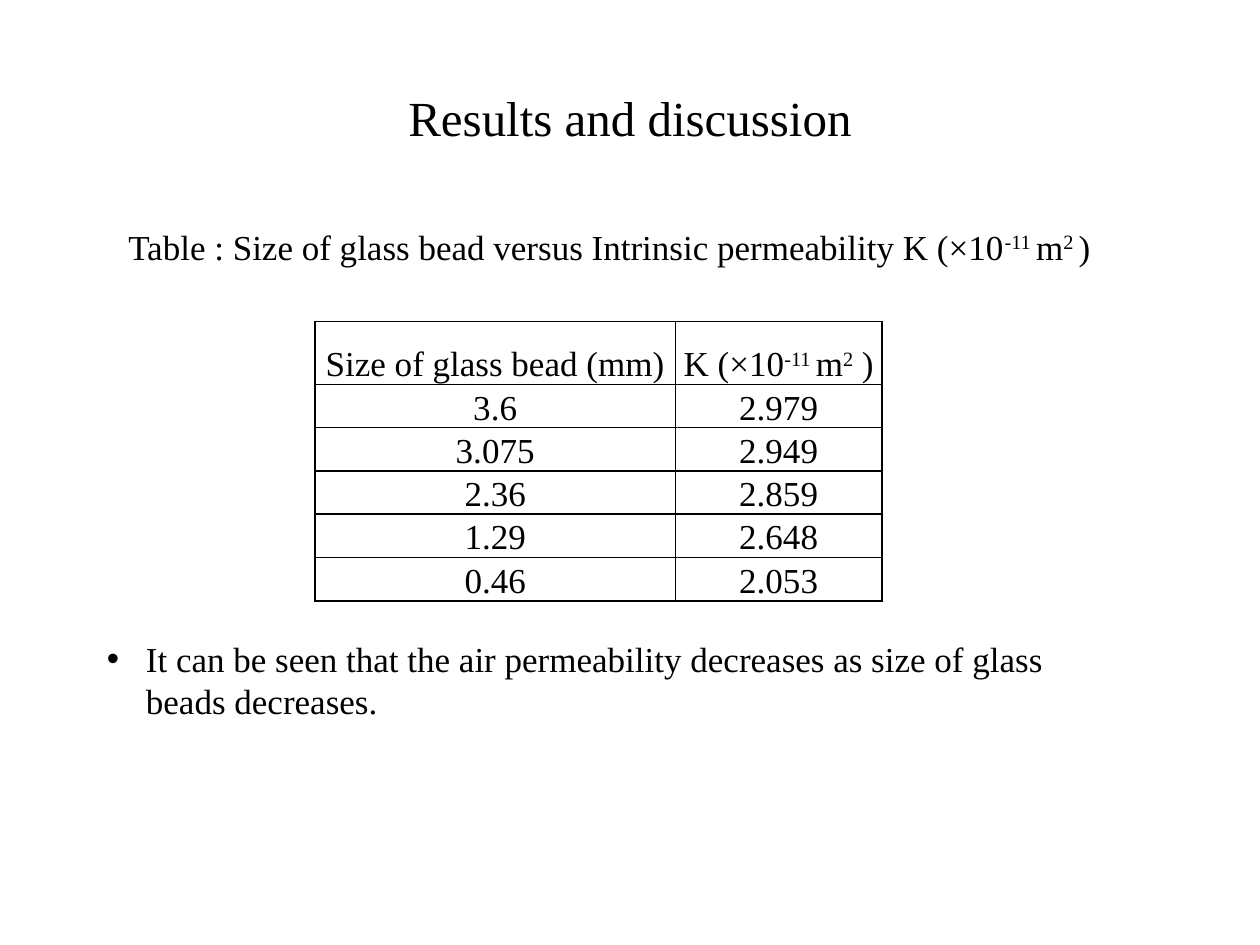
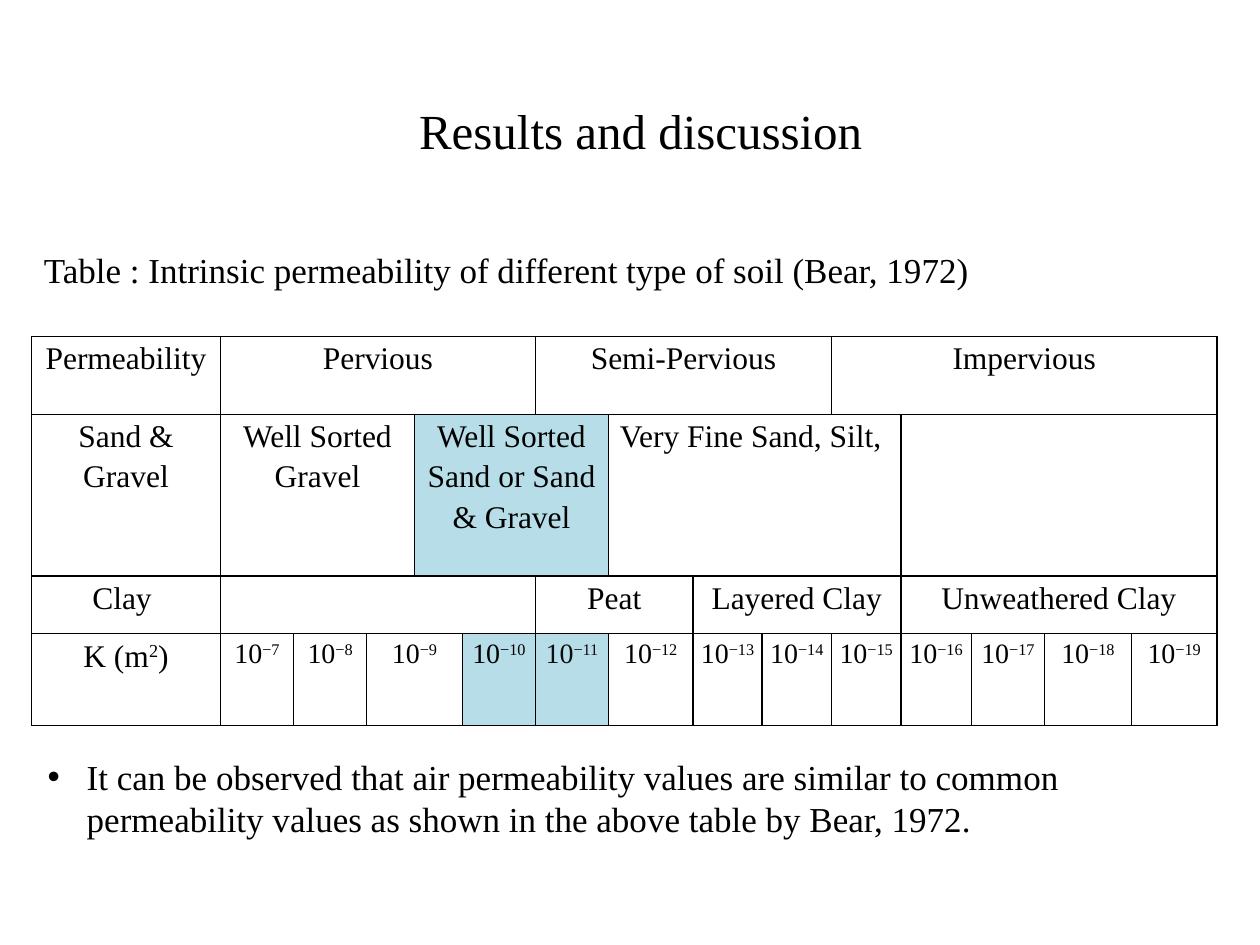
"""Build two slides on glass bead and soil permeability results."""
from lxml import etree
from pptx import Presentation, util as u
from pptx.dml.color import RGBColor
from pptx.enum import text as t
from pptx.oxml import ns

PX = 9144
FONT = "Times New Roman"
INK = RGBColor(0, 0, 0)
DARK = RGBColor(0x0D, 0x0D, 0x0D)
AQUA = RGBColor(0xB7, 0xDE, 0xE8)
MID, LEFT = t.PP_ALIGN.CENTER, t.PP_ALIGN.LEFT
TITLE = "Results and discussion"


def write(frame, words, size, align):
    para = frame.paragraphs[0]
    para.alignment = align
    para.font.name, para.font.size = FONT, u.Pt(size)
    para.font.color.rgb = INK
    for i, part in enumerate(words.split("^")):
        if part:
            run = para.add_run()
            run.text = part
            if i % 2:
                run._r.get_or_add_rPr().set("baseline", "30000")
    return para


def grid(slide, left, top, cols, highs, rows, size, pads, anchor):
    box = [n * PX for n in (left, top, sum(cols), sum(highs))]
    table = slide.shapes.add_table(len(highs), len(cols), *box).table
    table.first_row = table.horz_banding = False
    for col, wide in zip(table.columns, cols):
        col.width = wide * PX
    for row, high in zip(table.rows, highs):
        row.height = high * PX
    for cell in table.iter_cells():
        (cell.margin_left, cell.margin_top,
         cell.margin_right, cell.margin_bottom) = [n * PX for n in pads]
        cell.vertical_anchor = anchor
        for side in ("lnL", "lnR", "lnT", "lnB"):
            line = etree.SubElement(cell._tc.get_or_add_tcPr(), ns.qn("a:" + side), w="12700")
            fill = etree.SubElement(line, ns.qn("a:solidFill"))
            etree.SubElement(fill, ns.qn("a:srgbClr"), val=str(INK))
        cell.fill.background()
    for r, row in enumerate(rows):
        c = 0
        for words, span in row:
            cell = table.cell(r, c)
            if span > 1:
                cell.merge(table.cell(r, c + span - 1))
            write(cell.text_frame, words, size, MID)
            c += span
    return table


deck = Presentation()
deck.slide_width, deck.slide_height = 1000 * PX, 750 * PX
bead, soil = [deck.slides.add_slide(deck.slide_layouts[6]) for _ in range(2)]

texts = [
    (bead, (50, 30, 900, 125), TITLE, 28, MID, False),
    (bead, (92, 174, 794, 77),
     "Table : Size of glass bead versus Intrinsic permeability K (×10^-11 ^m^2 ^)",
     20, LEFT, False),
    (bead, (75, 501, 780, 77),
     "It can be seen that the air permeability decreases as size of glass beads decreases.",
     20, LEFT, True),
    (soil, (167, 75, 683, 57), TITLE, 28, MID, False),
    (soil, (25, 192, 942, 75),
     "Table : Intrinsic permeability of different type of soil (Bear, 1972)",
     20, LEFT, False),
    (soil, (28, 595, 929, 77),
     "It can be observed that air permeability values are similar to common "
     "permeability values as shown in the above table by Bear, 1972.",
     20, LEFT, True),
]
for slide, place, words, size, align, dot in texts:
    frame = slide.shapes.add_textbox(*[n * PX for n in place]).text_frame
    frame.word_wrap = True
    frame.vertical_anchor = t.MSO_ANCHOR.MIDDLE if align == MID else t.MSO_ANCHOR.TOP
    para = write(frame, words, size, align)
    if dot:
        props = para._p.get_or_add_pPr()
        props.set("marL", str(31 * PX))
        props.set("indent", str(-31 * PX))
        props.insert(0, etree.Element(ns.qn("a:buFont"), typeface="Arial"))
        props.insert(1, etree.Element(ns.qn("a:buChar"), char="•"))

pairs = [
    ("Size of glass bead (mm)", "K (×10^-11 ^m^2^ )"),
    ("3.6", "2.979"), ("3.075", "2.949"), ("2.36", "2.859"),
    ("1.29", "2.648"), ("0.46", "2.053"),
]
grid(bead, 250, 255, [286, 164], [50] + [32] * 5,
     [[(words, 1) for words in pair] for pair in pairs],
     20, (1, 1, 1, 0), t.MSO_ANCHOR.BOTTOM)

powers = [(f"10^−{n}", 2 if n == 9 else 1) for n in range(7, 20)]
kinds = [
    [("Permeability", 1), ("Pervious", 5), ("Semi-Pervious", 4), ("Impervious", 5)],
    [("Sand & Gravel", 1), ("Well Sorted Gravel", 3),
     ("Well Sorted Sand or Sand & Gravel", 3), ("Very Fine Sand, Silt, ", 4), ("", 4)],
    [("Clay ", 1), ("", 5), ("Peat", 2), ("Layered Clay", 3), ("Unweathered Clay", 4)],
    [("K (m^2^)", 1)] + powers,
]
wides = [150, 58, 58, 38, 38, 58, 58, 67, 55, 55, 55, 56, 58, 69, 68]
table = grid(soil, 25, 267, wides, [62, 128, 46, 73], kinds,
             18, (5, 0, 5, 0), t.MSO_ANCHOR.TOP)
for cell in table.iter_cells():
    cell.text_frame.paragraphs[0].line_spacing = 1.15
for c in range(1, len(wides)):
    table.cell(3, c).text_frame.paragraphs[0].font.size = u.Pt(16)
for r, c in ((1, 4), (3, 5), (3, 6)):
    cell = table.cell(r, c)
    cell.fill.solid()
    cell.fill.fore_color.rgb = AQUA
table.cell(3, 6).text_frame.paragraphs[0].font.color.rgb = DARK

deck.save("out.pptx")
